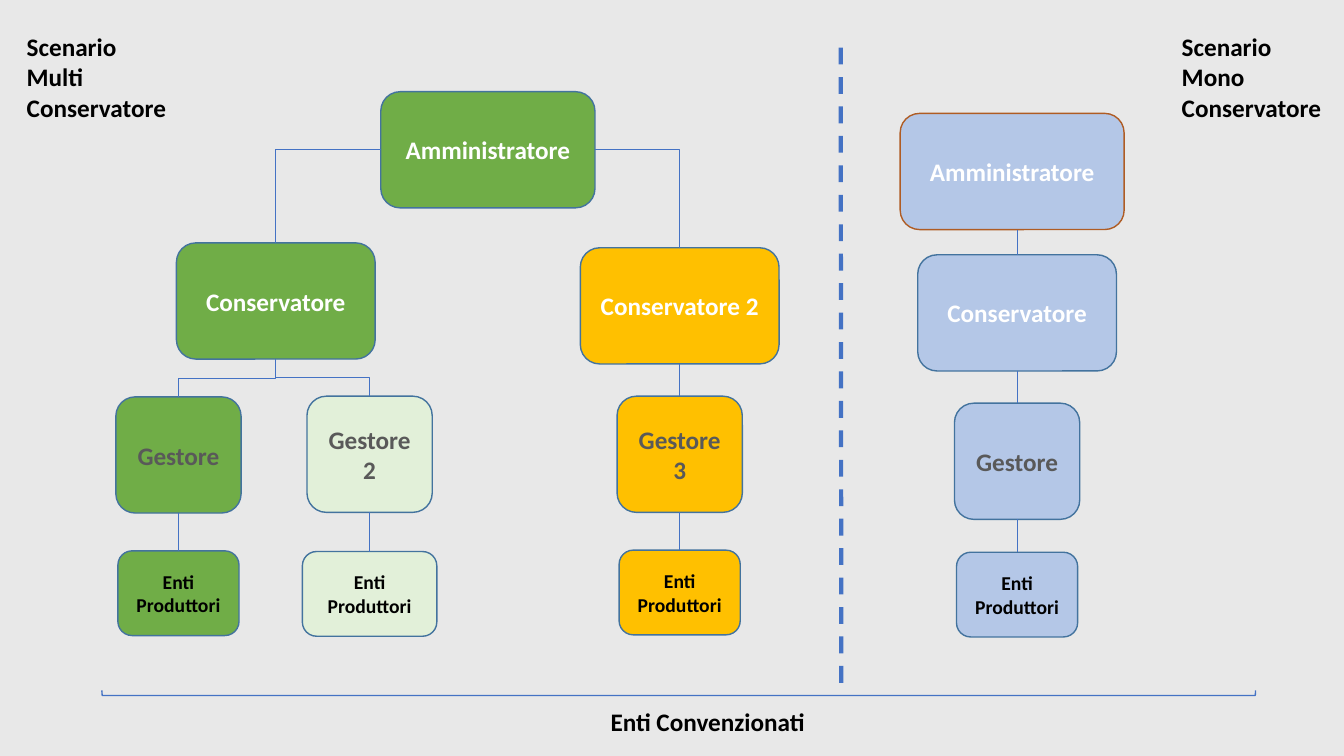
from pptx import Presentation
from pptx.dml.color import RGBColor
from pptx.enum.dml import MSO_LINE
from pptx.enum.shapes import MSO_CONNECTOR as Connector, MSO_SHAPE as Shape
from pptx.enum.text import MSO_ANCHOR as Anchor, PP_ALIGN as Align
from pptx.oxml.ns import qn
from pptx.util import Pt
from lxml import etree

BACKGROUND = RGBColor(0xE8, 0xE8, 0xE8)
GREEN = RGBColor(0x70, 0xAD, 0x47)
PALE_GREEN = RGBColor(0xE2, 0xF0, 0xD9)
YELLOW = RGBColor(0xFF, 0xC0, 0x00)
PALE_BLUE = RGBColor(0xB4, 0xC7, 0xE7)
BLUE = RGBColor(0x44, 0x72, 0xC4)
OUTLINE = RGBColor(0x43, 0x73, 0x9E)
RUST = RGBColor(0xAF, 0x5C, 0x24)
WHITE = RGBColor(0xFF, 0xFF, 0xFF)
GREY = RGBColor(0x59, 0x59, 0x59)
BLACK = RGBColor(0, 0, 0)

TOP, LEFT, BOTTOM, RIGHT = range(4)
HEADING = {"name": "Calibri", "size": Pt(18), "bold": True}
SMALL = {**HEADING, "size": Pt(14)}

# Each role: width, height, text format, text colour
ROLES = {
    "Amministratore": (153, 83, HEADING, WHITE),
    "Conservatore": (142, 83, HEADING, WHITE),
    "Gestore": (89.5, 83, HEADING, GREY),
    "Enti Produttori": (86.5, 60.5, SMALL, BLACK),
}


def write_text(frame, text, formats, color, align):
    frame.word_wrap = True
    frame.text = text
    for paragraph in frame.paragraphs:
        paragraph.alignment = align
        for name, value in formats.items():
            setattr(paragraph.font, name, value)
        paragraph.font.color.rgb = color


def add_box(slide, role, center, top, fill, suffix="", width=None, outline=OUTLINE):
    role_width, height, formats, color = ROLES[role]
    width = width or role_width
    box = slide.shapes.add_shape(Shape.ROUNDED_RECTANGLE, Pt(center - width / 2),
                                 Pt(top), Pt(width), Pt(height))
    box.shadow.inherit = False
    box.fill.solid()
    box.fill.fore_color.rgb = fill
    box.line.color.rgb = outline
    box.line.width = Pt(1)
    box.text_frame.vertical_anchor = Anchor.MIDDLE
    write_text(box.text_frame, role + suffix, formats, color, Align.CENTER)
    return box


def add_label(slide, text, left, top, width, height, indent=0):
    label = slide.shapes.add_textbox(Pt(left), Pt(top), Pt(width), Pt(height))
    write_text(label.text_frame, text, HEADING, BLACK, Align.LEFT)
    if indent:
        label.text_frame.paragraphs[0]._p.get_or_add_pPr().set("marL", str(Pt(indent)))


def add_line(slide, kind, x1=0, y1=0, x2=0, y2=0, width=0.5):
    line = slide.shapes.add_connector(kind, Pt(x1), Pt(y1), Pt(x2), Pt(y2))
    line.line.color.rgb = BLUE
    line.line.width = Pt(width)
    etree.SubElement(line._element.spPr, qn("a:effectLst"))
    return line


def join(slide, upper, lower, kind=Connector.STRAIGHT, side=BOTTOM):
    line = add_line(slide, kind)
    line.begin_connect(upper, side)
    line.end_connect(lower, TOP)
    return line


def join_corner(slide, upper, lower, side):
    """One bend: sideways out of the upper box, then down."""
    line = join(slide, upper, lower, Connector.ELBOW, side)
    line._element.spPr.find(qn("a:prstGeom")).set("prst", "bentConnector2")


def join_step(slide, upper, lower):
    """Two bends: down, sideways, down, as a turned elbow."""
    line = join(slide, upper, lower, Connector.ELBOW)
    to_right = line.end_x > line.begin_x
    center_x = line.left + line.width // 2
    center_y = line.top + line.height // 2
    line.width, line.height = line.height, line.width
    line.left = center_x - line.width // 2
    line.top = center_y - line.height // 2
    transform = line._element.spPr.find(qn("a:xfrm"))
    transform.set("rot", str((270 if to_right else 90) * 60000))
    transform.set("flipH", str(int(to_right)))


def add_multi_scenario(slide):
    administrator = add_box(slide, "Amministratore", 348.5, 65.5, GREEN)
    keeper = add_box(slide, "Conservatore", 197, 173.5, GREEN)
    keeper_2 = add_box(slide, "Conservatore", 485.5, 177, YELLOW, " 2")
    manager = add_box(slide, "Gestore", 127.5, 283.5, GREEN)
    manager_2 = add_box(slide, "Gestore", 264, 283, PALE_GREEN, "\n2")
    manager_3 = add_box(slide, "Gestore", 485.5, 283, YELLOW, " 3")
    bodies = add_box(slide, "Enti Produttori", 127.5, 393.5, GREEN)
    bodies_2 = add_box(slide, "Enti Produttori", 264, 394, PALE_GREEN, width=96)
    bodies_3 = add_box(slide, "Enti Produttori", 485.5, 393, YELLOW)

    join_corner(slide, administrator, keeper, LEFT)
    join_corner(slide, administrator, keeper_2, RIGHT)
    for branch in (manager, manager_2):
        join_step(slide, keeper, branch)
    for upper, lower in ((keeper_2, manager_3), (manager, bodies),
                         (manager_2, bodies_2), (manager_3, bodies_3)):
        join(slide, upper, lower)


def add_mono_scenario(slide):
    column = 726.5
    add_box(slide, "Amministratore", 723, 81, PALE_BLUE, width=160, outline=RUST)
    keeper = add_box(slide, "Conservatore", column, 182, PALE_BLUE)
    manager = add_box(slide, "Gestore", column, 288, PALE_BLUE)
    bodies = add_box(slide, "Enti Produttori", column, 394.5, PALE_BLUE)

    # The administrator box is off the column, so its line starts freely
    add_line(slide, Connector.STRAIGHT, column, 164, column, 182).end_connect(keeper, TOP)
    join(slide, keeper, manager)
    join(slide, manager, bodies)


def add_bracket(slide):
    bracket = slide.shapes.add_shape(Shape.RIGHT_BRACKET, Pt(483), Pt(83), Pt(3.6), Pt(824))
    bracket.rotation = 90
    bracket.shadow.inherit = False
    bracket.fill.background()
    bracket.line.color.rgb = BLUE
    bracket.line.width = Pt(1)


def main():
    presentation = Presentation()
    presentation.slide_width, presentation.slide_height = Pt(960), Pt(540)
    slide = presentation.slides.add_slide(presentation.slide_layouts[6])
    slide.background.fill.solid()
    slide.background.fill.fore_color.rgb = BACKGROUND

    # Scenario trees
    add_multi_scenario(slide)
    add_mono_scenario(slide)

    # Divider and scenario titles
    divider = add_line(slide, Connector.STRAIGHT, 600.5, 34, 601, 497, width=3)
    divider.line.dash_style = MSO_LINE.DASH
    add_label(slide, "Scenario\nMulti\nConservatore", 12, 19, 228, 73)
    add_label(slide, "Scenario\nMono\nConservatore", 837, 19, 120, 73)

    # Shared base
    add_bracket(slide)
    add_label(slide, "Enti Convenzionati", 381, 501, 228, 29, indent=48)

    presentation.save("out.pptx")


if __name__ == "__main__":
    main()
